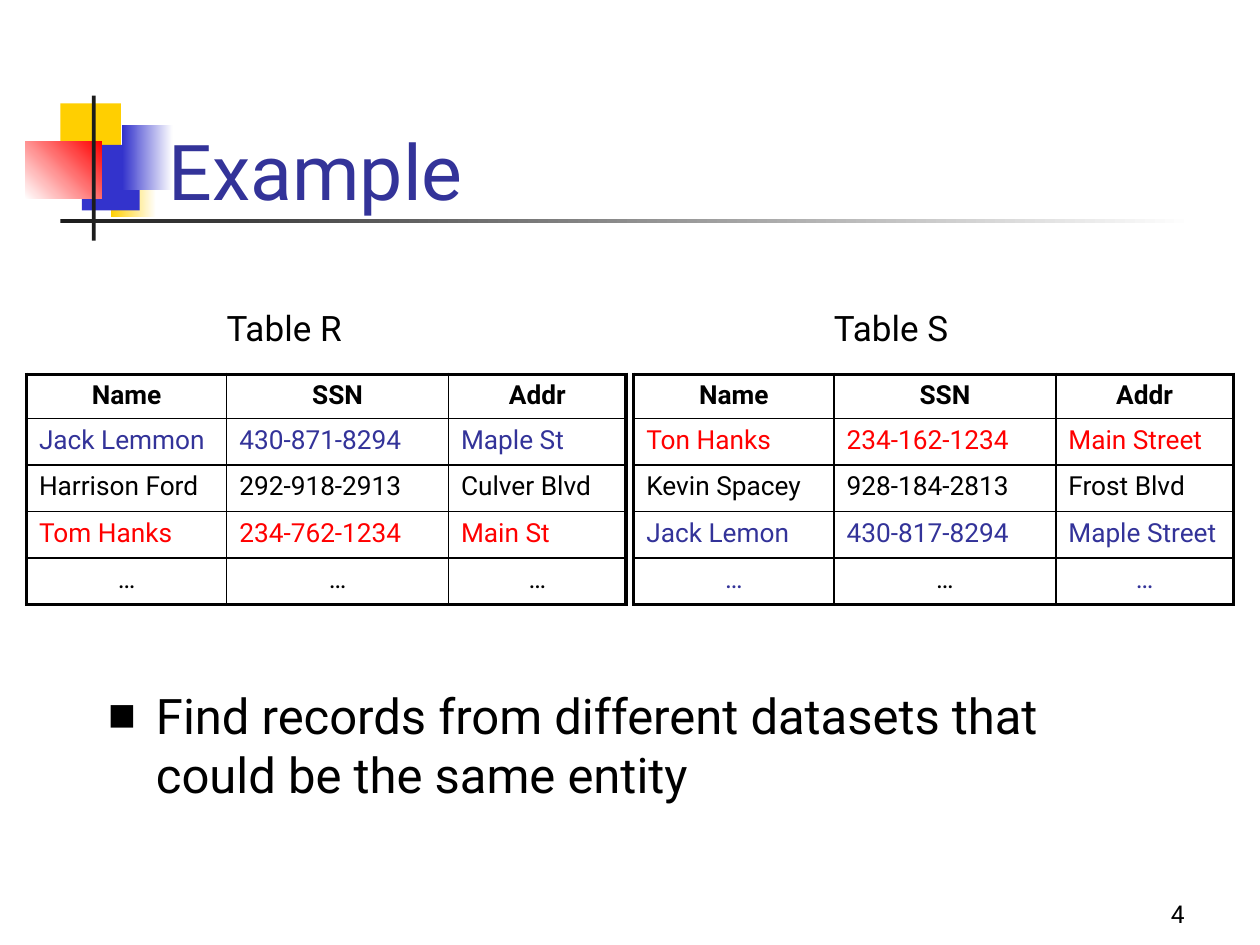
import dataclasses

import lxml.etree
import pptx
import pptx.dml.color
import pptx.enum.shapes
import pptx.enum.text
import pptx.oxml.ns
import pptx.util

Inches = pptx.util.Inches
Align = pptx.enum.text.PP_ALIGN
Anchor = pptx.enum.text.MSO_ANCHOR


@dataclasses.dataclass(frozen=True)
class Theme:
    font: str = "Roboto"
    black: str = "000000"
    white: str = "FFFFFF"
    ink: str = "1C1C1C"
    gold: str = "FFCF01"
    blue: str = "3333CC"
    navy: str = "333399"
    red: str = "FF0000"
    title: int = 44
    body: int = 28
    label: int = 20
    cell: int = 15
    small: int = 14
    thick: float = 2.25
    thin: float = 1


THEME = Theme()
COLS = (1.59, 1.76, 1.41)
ROWS = (0.35, 0.37, 0.37, 0.37, 0.37)
HEAD = ("Name", "SSN", "Addr")
DOTS = ("…",) * 3

# Each row: cell texts, then one colour per cell
TABLE_R = (
    (HEAD, (THEME.black,) * 3),
    (("Jack Lemmon", "430-871-8294", "Maple St"), (THEME.navy,) * 3),
    (("Harrison Ford", "292-918-2913", "Culver Blvd"), (THEME.black,) * 3),
    (("Tom Hanks", "234-762-1234", "Main St"), (THEME.red,) * 3),
    (DOTS, (THEME.black,) * 3),
)
TABLE_S = (
    (HEAD, (THEME.black,) * 3),
    (("Ton Hanks", "234-162-1234", "Main Street"), (THEME.red,) * 3),
    (("Kevin Spacey", "928-184-2813", "Frost Blvd"), (THEME.black,) * 3),
    (("Jack Lemon", "430-817-8294", "Maple Street"), (THEME.navy,) * 3),
    (DOTS, (THEME.navy, THEME.black, THEME.navy)),
)


def rgb(code):
    return pptx.dml.color.RGBColor.from_string(code)


def add_node(parent, tag, **attrs):
    node = lxml.etree.SubElement(parent, pptx.oxml.ns.qn(tag))
    for key, value in attrs.items():
        node.set(key, str(value))
    return node


def style(para, size, color, bold=False, align=Align.LEFT):
    para.alignment = align
    for run in para.runs:
        run.font.name = THEME.font
        run.font.size = pptx.util.Pt(size)
        run.font.bold = bold
        run.font.color.rgb = rgb(color)


def add_block(slide, box, start, end=None, angle=0):
    """Add a plain block, or one that fades from start to end."""
    shape = slide.shapes.add_shape(
        pptx.enum.shapes.MSO_SHAPE.RECTANGLE, *map(Inches, box))
    shape.shadow.inherit = False
    shape.line.fill.background()
    if end is None:
        shape.fill.solid()
        shape.fill.fore_color.rgb = rgb(start)
        return
    shape.fill.gradient()
    shape.fill.gradient_angle = angle
    for stop, color in zip(shape.fill.gradient_stops, (start, end)):
        stop.color.rgb = rgb(color)


def add_text(slide, box, text, size, color=THEME.black, align=Align.LEFT,
             anchor=Anchor.TOP, wrap=True):
    frame = slide.shapes.add_textbox(*map(Inches, box)).text_frame
    frame.word_wrap = wrap
    frame.vertical_anchor = anchor
    frame.text = text
    style(frame.paragraphs[0], size, color, align=align)
    return frame.paragraphs[0]


def add_bullet(slide, box, text):
    para = add_text(slide, box, text, THEME.body)
    props = para._p.get_or_add_pPr()
    props.set("marL", str(Inches(0.38)))
    props.set("indent", str(Inches(-0.38)))
    add_node(add_node(props, "a:buClr"), "a:srgbClr", val=THEME.black)
    add_node(props, "a:buSzPct", val=60000)
    add_node(props, "a:buFont", typeface=THEME.font)
    add_node(props, "a:buChar", char="■")


def add_edges(cell, row, col):
    """Draw thick lines on the outer sides of the table, thin inside."""
    outer = {"L": col == 0, "R": col == len(COLS) - 1,
             "T": row == 0, "B": row == len(ROWS) - 1}
    props = cell._tc.get_or_add_tcPr()
    for side, edge in outer.items():
        width = pptx.util.Pt(THEME.thick if edge else THEME.thin)
        line = add_node(props, f"a:ln{side}", w=width)
        add_node(add_node(line, "a:solidFill"), "a:srgbClr", val=THEME.black)


def add_grid(slide, left, top, data):
    table = slide.shapes.add_table(
        len(ROWS), len(COLS), Inches(left), Inches(top),
        Inches(sum(COLS)), Inches(sum(ROWS))).table
    table.first_row = table.horz_banding = False
    for col, width in zip(table.columns, COLS):
        col.width = Inches(width)
    for row, height in zip(table.rows, ROWS):
        row.height = Inches(height)
    for i, (texts, colors) in enumerate(data):
        mid = i in (0, len(ROWS) - 1)
        for j, (text, color) in enumerate(zip(texts, colors)):
            cell = table.cell(i, j)
            cell.text_frame.text = text
            style(cell.text_frame.paragraphs[0], THEME.cell, color,
                  bold=i == 0, align=Align.CENTER if mid else Align.LEFT)
            add_edges(cell, i, j)
            cell.fill.background()


def add_motif(slide):
    add_block(slide, (0.48, 0.82, 0.48, 0.52), THEME.gold)
    add_block(slide, (0.88, 1.2, 0.36, 0.52), THEME.gold, THEME.white)
    add_block(slide, (0.65, 1.15, 0.46, 0.52), THEME.blue)
    add_block(slide, (0.97, 0.99, 0.4, 0.52), THEME.blue, THEME.white)
    add_block(slide, (0.2, 1.12, 0.61, 0.46), THEME.white, THEME.red, 45)
    add_block(slide, (0.73, 0.76, 0.03, 1.15), THEME.ink)
    add_block(slide, (0.48, 1.74, 9, 0.03), THEME.ink, THEME.white)


def main():
    deck = pptx.Presentation()
    deck.slide_width, deck.slide_height = Inches(10), Inches(7.5)
    slide = deck.slides.add_slide(deck.slide_layouts[6])

    # Corner blocks, title and page number
    add_motif(slide)
    add_text(slide, (1.24, 0.51, 6.23, 1.25), "Example", THEME.title,
             THEME.navy, anchor=Anchor.BOTTOM)
    add_text(slide, (7.42, 6.92, 2.08, 0.5), "4", THEME.small,
             align=Align.RIGHT, anchor=Anchor.BOTTOM)

    # Two tables side by side, each with its label
    for name, left, data in (("Table R", 0.21, TABLE_R),
                             ("Table S", 5.03, TABLE_S)):
        add_text(slide, (left + 1.49, 2.38, 1.13, 0.43), name, THEME.label,
                 wrap=False)
        add_grid(slide, left, 2.97, data)

    # Closing point
    add_bullet(slide, (0.76, 5.39, 8.57, 1.58),
               "Find records from different datasets that could be "
               "the same entity")
    deck.save("out.pptx")


if __name__ == "__main__":
    main()
